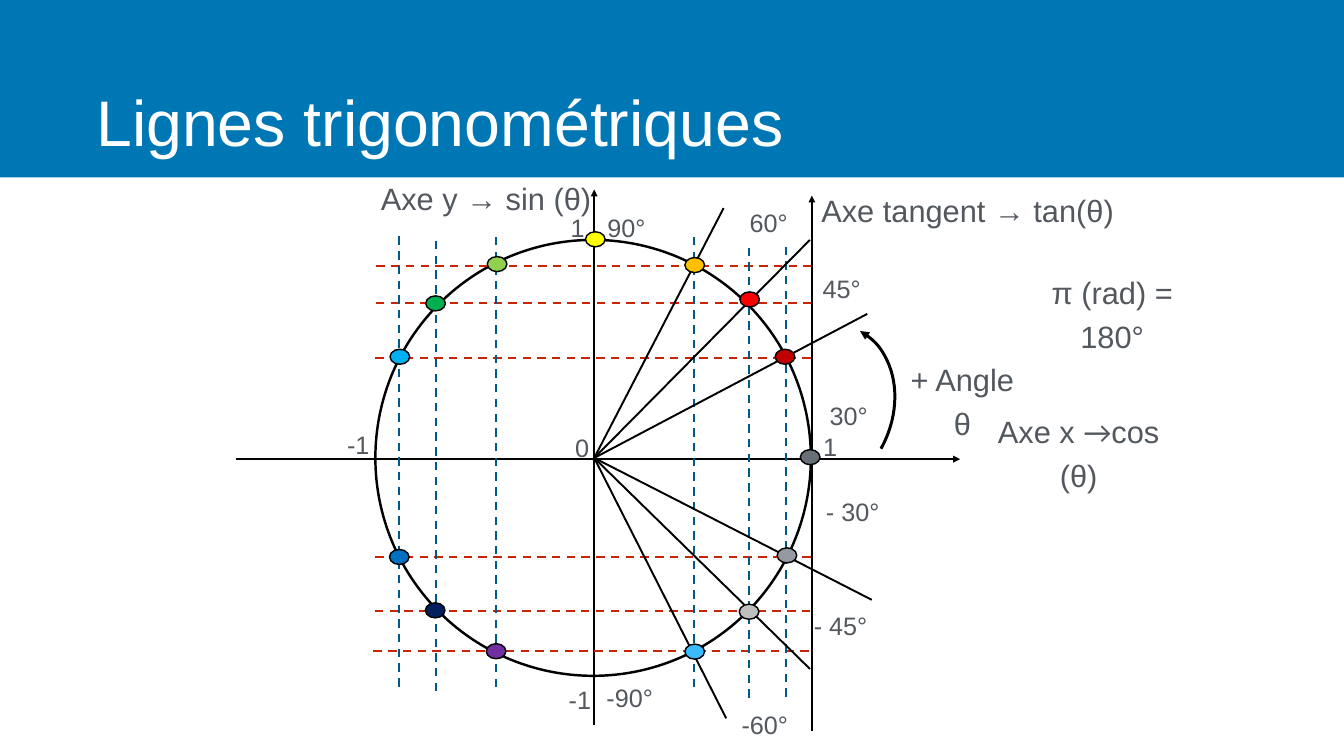
"""Build the slide of trigonometric lines on the unit circle."""
from dataclasses import dataclass

from lxml.etree import SubElement
from pptx import Presentation
from pptx.dml.color import RGBColor
from pptx.enum.dml import MSO_LINE
from pptx.enum.shapes import MSO_CONNECTOR, MSO_SHAPE as SHAPE
from pptx.enum.text import MSO_ANCHOR, PP_ALIGN
from pptx.oxml.ns import qn
from pptx.util import Cm, Pt

BLACK, WHITE, GREY = "000000", "FFFFFF", "53585F"
BLUE, SINE_RED, COSINE_BLUE = "0077B5", "C82506", "005988"
ORIGIN_X, ORIGIN_Y = 29.95, 23.08
GUIDE_WIDTH, GUIDE_HEIGHT = 21.95, 22.99
DOT_WIDTH, DOT_HEIGHT = 0.99, 0.76


@dataclass
class Line:
    x1: float
    y1: float
    x2: float
    y2: float
    color: str = BLACK
    width: float = 2.75
    dashed: bool = False
    arrow: bool = False


@dataclass
class Dot:
    x: float
    y: float
    color: str


@dataclass
class Label:
    text: str
    x: float
    y: float
    w: float
    size: int = 36
    wrap: bool = False


SINE_GUIDES = [(18.97, 13.39), (18.95, 15.29), (18.92, 18.06),
               (18.92, 28.09), (18.9, 30.81), (18.82, 32.79)]
COSINE_GUIDES = [(20.12, 11.61), (21.97, 11.84), (24.99, 11.63),
                 (35, 11.63), (37.74, 12.17), (39.6, 12.12)]
RAY_ENDS = [(43.71, 15.82), (40.82, 12.09), (36.47, 10.49),
            (36.6, 36.2), (40.82, 33.71), (43.94, 30.23)]

LINES = [
    Line(11.89, 23.14, 48.39, 23.14, width=3.25, arrow=True),
    Line(29.95, 36.55, 29.95, 9.55, width=3.25, arrow=True),
    *[Line(x, y, x + GUIDE_WIDTH, y, SINE_RED, 3, True) for x, y in SINE_GUIDES],
    *[Line(x, y + GUIDE_HEIGHT, x, y, COSINE_BLUE, 3, True) for x, y in COSINE_GUIDES],
    *[Line(ORIGIN_X, ORIGIN_Y, x, y) for x, y in RAY_ENDS],
    Line(40.92, 36.86, 40.92, 9.86, width=3.25, arrow=True),
]

DOTS = [
    Dot(34.52, 12.98, "FFC000"),
    Dot(37.29, 14.71, "FF0000"),
    Dot(39.07, 17.6, "C00000"),
    Dot(39.17, 27.61, "959AA2"),
    Dot(37.26, 30.45, "BFBFBF"),
    Dot(34.52, 32.46, "3ABBFF"),
    Dot(24.51, 32.44, "7030A0"),
    Dot(21.44, 30.38, "002060"),
    Dot(19.63, 27.69, "0070C0"),
    Dot(19.66, 17.6, "00B0F0"),
    Dot(21.46, 14.91, "00B050"),
    Dot(24.56, 12.93, "92D050"),
    Dot(40.34, 22.66, "686F76"),
    Dot(29.51, 11.68, "FFFF00"),
]

LABELS = [
    Label("- 30°", 41.43, 24.51, 3.1),
    Label("45°", 41.25, 13.26, 2.34),
    Label("60°", 37.57, 9.93, 2.34),
    Label("90°", 30.4, 10.19, 2.34),
    Label("30°", 41.61, 19.69, 2.34),
    Label("- 45°", 40.82, 30.23, 3.1),
    Label("-60°", 37.16, 35.26, 2.77),
    Label("-90°", 30.35, 33.88, 2.77),
    Label("1", 41.28, 21.21, 1.12),
    Label("1", 28.55, 10.19, 1.12),
    Label("0", 28.78, 21.29, 1.12),
    Label("-1", 17.16, 21.13, 1.8),
    Label("-1", 28.33, 33.99, 1.8),
    Label("+ Angle θ", 44.91, 18.69, 7.19, 44, True),
    Label("Axe y → sin (θ)", 18.75, 8.46, 11.51, 44),
    Label("Axe tangent → tan(θ)", 40.93, 9.09, 15.7, 44),
    Label("π (rad) = 180°", 50.83, 14.3, 10.46, 44, True),
]
COSINE_LABEL = Label("Axe x ", 49.3, 21.31, 10.13, 44, True)


def rgb(color: str) -> RGBColor:
    """Turn a hex string into a colour."""
    return RGBColor.from_string(color)


def style_run(r, size: int, color: str, font: str = "Arial") -> None:
    """Format one run."""
    r.font.size, r.font.name = Pt(size), font
    r.font.color.rgb = rgb(color)


def set_frame(tf, inset: float = 0.2) -> None:
    """Set the insets and the middle anchor of a text frame."""
    tf.margin_left = tf.margin_right = Cm(inset)
    tf.margin_top = tf.margin_bottom = Cm(0.2)
    tf.vertical_anchor = MSO_ANCHOR.MIDDLE


def add_arrowhead(line, end: str) -> None:
    """Put a triangle on the headEnd or tailEnd of a line."""
    SubElement(line._get_or_add_ln(), qn(f"a:{end}"), type="triangle")


def draw_line(s, line: Line) -> None:
    """Draw a straight line."""
    c = s.shapes.add_connector(MSO_CONNECTOR.STRAIGHT, Cm(line.x1), Cm(line.y1),
                               Cm(line.x2), Cm(line.y2))
    c.line.color.rgb = rgb(line.color)
    c.line.width = Pt(line.width)
    if line.dashed:
        c.line.dash_style = MSO_LINE.DASH
    if line.arrow:
        add_arrowhead(c.line, "tailEnd")
    SubElement(c.element.spPr, qn("a:effectLst"))


def draw_shape(s, kind: SHAPE, x: float, y: float, w: float, h: float,
               fill: str = "", line_width: float = 0):
    """Draw a preset shape with an optional fill and black outline."""
    sp = s.shapes.add_shape(kind, Cm(x), Cm(y), Cm(w), Cm(h))
    sp.shadow.inherit = False
    if fill:
        sp.fill.solid()
        sp.fill.fore_color.rgb = rgb(fill)
    else:
        sp.fill.background()
    if line_width:
        sp.line.color.rgb = rgb(BLACK)
        sp.line.width = Pt(line_width)
    else:
        sp.line.fill.background()
    return sp


def draw_label(s, label: Label):
    """Draw a centred label and return its paragraph."""
    height = 2.67 if label.size == 44 else 2.24
    tf = s.shapes.add_textbox(Cm(label.x), Cm(label.y), Cm(label.w), Cm(height)).text_frame
    set_frame(tf, 0.5 if label.wrap else 0.2)
    tf.word_wrap = label.wrap
    p = tf.paragraphs[0]
    p.text = label.text
    p.alignment, p.line_spacing = PP_ALIGN.CENTER, 1.2
    style_run(p.runs[0], label.size, GREY)
    return p


def draw_title(s, text: str) -> None:
    """Place the title on its blue band."""
    title = s.shapes.title
    band = draw_shape(s, SHAPE.RECTANGLE, 0, 0, 67.74, 8.94, BLUE)
    title.element.addprevious(band.element)
    title.left, title.top, title.width, title.height = Cm(4.65), Cm(3.03), Cm(58.04), Cm(5.36)
    tf = title.text_frame
    tf.text = text
    set_frame(tf)
    p = tf.paragraphs[0]
    p.alignment, p.line_spacing = PP_ALIGN.LEFT, 1.2
    style_run(p.runs[0], 92, WHITE)


def main() -> None:
    """Build and save the slide."""
    prs = Presentation()
    prs.slide_width, prs.slide_height = Cm(67.74), Cm(38.1)
    s = prs.slides.add_slide(prs.slide_layouts[5])
    draw_title(s, "Lignes trigonométriques")
    draw_shape(s, SHAPE.OVAL, 18.92, 12.09, 21.95, 21.97, line_width=3.5)
    for line in LINES:
        draw_line(s, line)
    arc = draw_shape(s, SHAPE.ARC, 37.29, 16.1, 7.59, 9.35, line_width=4.25)
    arc.rotation = 29
    add_arrowhead(arc.line, "headEnd")
    for dot in DOTS:
        draw_shape(s, SHAPE.OVAL, dot.x, dot.y, DOT_WIDTH, DOT_HEIGHT, dot.color, 2)
    for label in LABELS:
        draw_label(s, label)
    p = draw_label(s, COSINE_LABEL)
    for text, font in (("→", "Calibri"), ("cos (θ)", "Arial")):
        r = p.add_run()
        r.text = text
        style_run(r, COSINE_LABEL.size, GREY, font)
    prs.save("out.pptx")


if __name__ == "__main__":
    main()
